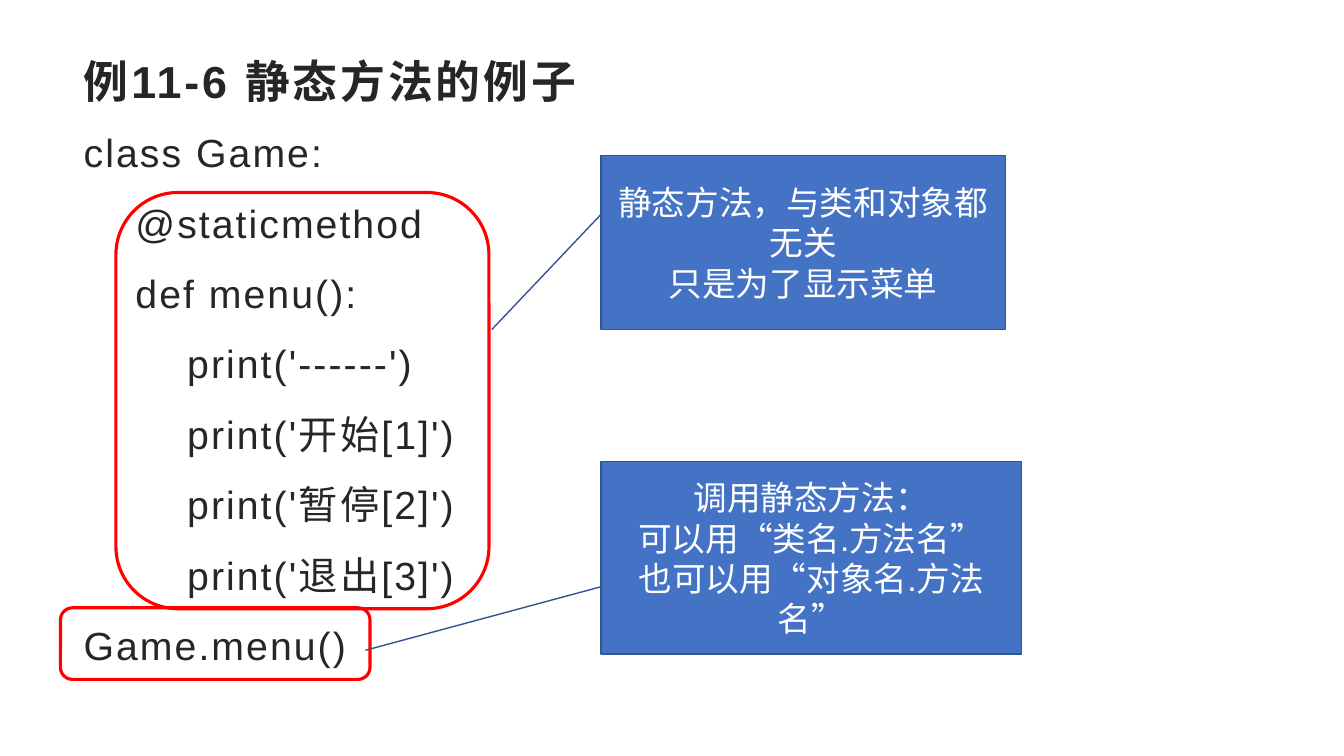
"""Build the slide that explains a static method example."""
from dataclasses import dataclass

from pptx import Presentation
from pptx.dml.color import RGBColor
from pptx.enum.shapes import MSO_SHAPE as Preset
from pptx.enum.text import MSO_ANCHOR as Anchor, MSO_AUTO_SIZE as AutoSize, PP_ALIGN as Align
from pptx.util import Emu, Pt

EMU_PER_PX = 9144
FONT_NAME = "Arial"
INK = RGBColor(0x26, 0x26, 0x26)
WHITE = RGBColor(0xFF, 0xFF, 0xFF)
RED = RGBColor(0xFF, 0x00, 0x00)
BLUE = RGBColor(0x44, 0x72, 0xC4)
DARK_BLUE = RGBColor(0x32, 0x54, 0x91)

TITLE = "例11-6 静态方法的例子"
CODE = (
    "class Game:",
    "    @staticmethod",
    "    def menu():",
    "        print('------')",
    "        print('开始[1]')",
    "        print('暂停[2]')",
    "        print('退出[3]')",
    "Game.menu()",
)


@dataclass(frozen=True)
class Box:
    left: int
    top: int
    width: int
    height: int

    def emu(self) -> tuple[Emu, ...]:
        return tuple(Emu(px * EMU_PER_PX) for px in (self.left, self.top, self.width, self.height))


@dataclass(frozen=True)
class Callout:
    box: Box
    pointer: tuple[float, ...]
    lines: tuple[str, ...]


@dataclass(frozen=True)
class TextStyle:
    size: int
    color: RGBColor
    align: Align
    bold: bool = False
    tracking: int = 0
    line_spacing: float = 1.0
    space_after: int = 0


TITLE_BOX = Box(73, 48, 1187, 64)
CODE_BOX = Box(73, 113, 1187, 580)
HIGHLIGHTS = (Box(115, 191, 370, 413), Box(60, 603, 307, 71))
CALLOUTS = (
    Callout(Box(596, 154, 401, 173), (0.34, 0, 1, -0.27),
            ("静态方法，与类和对象都无关", "只是为了显示菜单")),
    Callout(Box(596, 458, 417, 191), (0.65, 0, 0.98, -0.56),
            ("调用静态方法：", "可以用“类名.方法名”", "也可以用“对象名.方法名”")),
)
TITLE_STYLE = TextStyle(32, INK, Align.LEFT, bold=True, tracking=200)
CODE_STYLE = TextStyle(28, INK, Align.LEFT, tracking=150, line_spacing=1.2, space_after=10)
CALLOUT_STYLE = TextStyle(24, WHITE, Align.CENTER)


def write_lines(shape, lines: tuple[str, ...], style: TextStyle, anchor: Anchor) -> None:
    frame = shape.text_frame
    frame.word_wrap = True
    frame.auto_size = AutoSize.NONE
    frame.vertical_anchor = anchor
    for index, line in enumerate(lines):
        paragraph = frame.add_paragraph() if index else frame.paragraphs[0]
        paragraph.alignment = style.align
        paragraph.line_spacing = style.line_spacing
        paragraph.space_before = Pt(0)
        paragraph.space_after = Pt(style.space_after)
        properties = paragraph._p.get_or_add_pPr()
        properties.set("marL", "0")
        properties.set("indent", "0")
        if shape.is_placeholder:
            properties.append(properties.makeelement(
                "{http://schemas.openxmlformats.org/drawingml/2006/main}buNone", {}))
        run = paragraph.add_run()
        run.text = line
        font = run.font
        font.name = FONT_NAME
        font.size = Pt(style.size)
        font.bold = style.bold
        font.color.rgb = style.color
        run._r.get_or_add_rPr().set("spc", str(style.tracking))


def fill_placeholder(placeholder, box: Box, lines: tuple[str, ...],
                     style: TextStyle, anchor: Anchor) -> None:
    placeholder.left, placeholder.top, placeholder.width, placeholder.height = box.emu()
    write_lines(placeholder, lines, style, anchor)


def add_outlined(slide, preset: Preset, box: Box, color: RGBColor, weight: float):
    shape = slide.shapes.add_shape(preset, *box.emu())
    shape.shadow.inherit = False
    shape.line.color.rgb = color
    shape.line.width = Pt(weight)
    return shape


def add_highlight(slide, box: Box) -> None:
    add_outlined(slide, Preset.ROUNDED_RECTANGLE, box, RED, 2.25).fill.background()


def add_callout(slide, callout: Callout) -> None:
    shape = add_outlined(slide, Preset.LINE_CALLOUT_1, callout.box, DARK_BLUE, 1)
    shape.fill.solid()
    shape.fill.fore_color.rgb = BLUE
    for index, value in enumerate(callout.pointer):
        shape.adjustments[index] = value
    write_lines(shape, callout.lines, CALLOUT_STYLE, Anchor.MIDDLE)


def main() -> None:
    presentation = Presentation()
    presentation.slide_width = Emu(1333 * EMU_PER_PX)
    presentation.slide_height = Emu(750 * EMU_PER_PX)
    slide = presentation.slides.add_slide(presentation.slide_layouts[1])
    fill_placeholder(slide.shapes.title, TITLE_BOX, (TITLE,), TITLE_STYLE, Anchor.MIDDLE)
    fill_placeholder(slide.placeholders[1], CODE_BOX, CODE, CODE_STYLE, Anchor.TOP)
    for highlight, callout in zip(HIGHLIGHTS, CALLOUTS):
        add_highlight(slide, highlight)
        add_callout(slide, callout)
    presentation.save("out.pptx")


if __name__ == "__main__":
    main()
